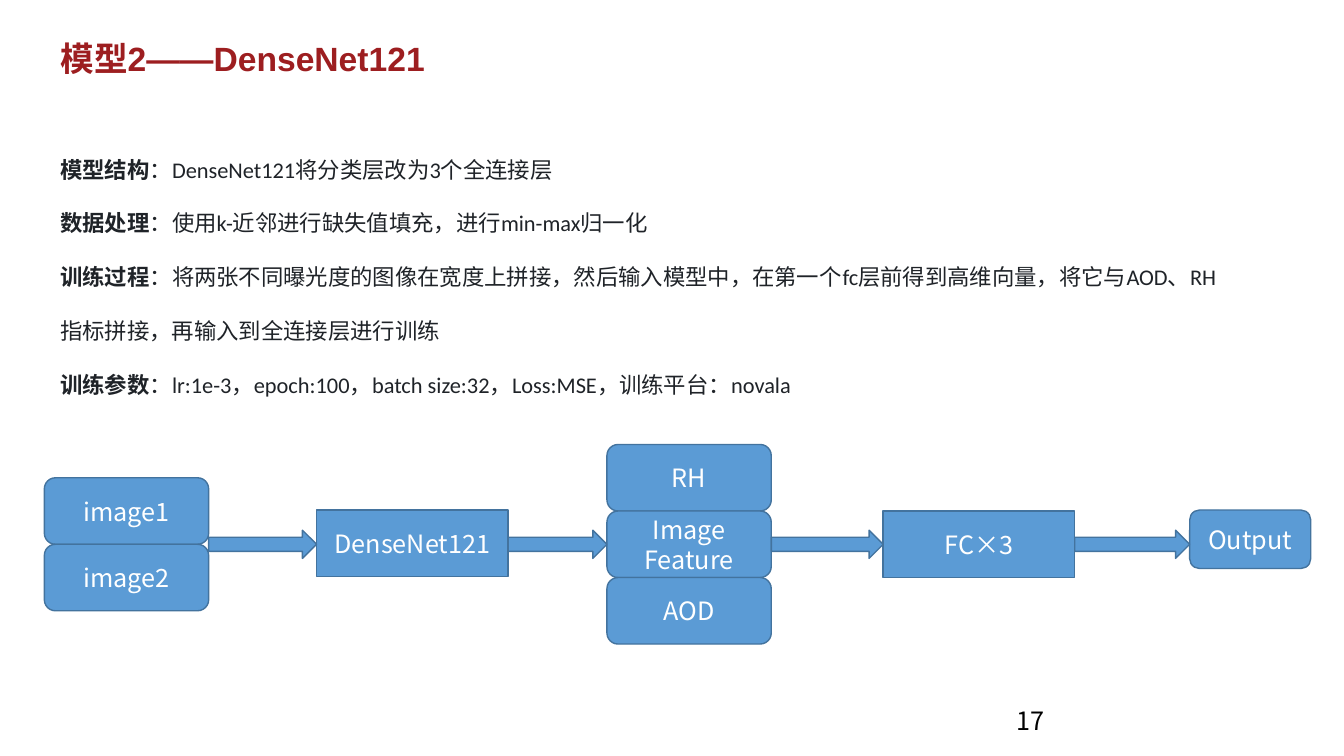
from dataclasses import dataclass

from lxml import etree
from pptx import Presentation
from pptx.dml.color import RGBColor
from pptx.enum.shapes import MSO_SHAPE
from pptx.enum.text import MSO_ANCHOR, MSO_AUTO_SIZE, PP_ALIGN
from pptx.oxml.ns import qn
from pptx.util import Inches, Pt

ROUND = MSO_SHAPE.ROUNDED_RECTANGLE
RECT = MSO_SHAPE.RECTANGLE
ARROW = MSO_SHAPE.RIGHT_ARROW
TOP, MIDDLE = MSO_ANCHOR.TOP, MSO_ANCHOR.MIDDLE
LEFT, CENTER = PP_ALIGN.LEFT, PP_ALIGN.CENTER
GROW, FIXED = MSO_AUTO_SIZE.SHAPE_TO_FIT_TEXT, MSO_AUTO_SIZE.NONE


@dataclass(frozen=True)
class Theme:
    red: str = "9D1E20"
    ink: str = "1F2328"
    black: str = "000000"
    white: str = "FFFFFF"
    blue: str = "5B9BD5"
    edge: str = "43739E"
    head: int = 24
    body: int = 16
    label: int = 18
    han: str = "Noto Sans CJK SC"


THEME = Theme()

HEAD = {"name": "Arial", "size": Pt(THEME.head), "bold": True}
TERM = {"name": "Calibri", "size": Pt(THEME.body), "bold": True}
BODY = TERM | {"bold": False}
LABEL = {"name": THEME.han, "size": Pt(THEME.label), "bold": False}

NOTES = [
    ("模型结构", "DenseNet121将分类层改为3个全连接层"),
    ("数据处理", "使用k-近邻进行缺失值填充，进行min-max归一化"),
    ("训练过程", "将两张不同曝光度的图像在宽度上拼接，然后输入模型中，在第一个fc层前"
     "得到高维向量，将它与AOD、RH指标拼接，再输入到全连接层进行训练"),
    ("训练参数", "lr:1e-3，epoch:100，batch size:32，Loss:MSE，训练平台：novala"),
]

TALL = 0.66
STACKS = [
    (ROUND, 0.44, 4.74, 1.63, TALL, ["image1", "image2"]),
    (RECT, 3.14, 5.06, 1.9, TALL, ["DenseNet121"]),
    (ROUND, 6.02, 4.41, 1.63, TALL, ["RH", "Image Feature", "AOD"]),
    (RECT, 8.76, 5.07, 1.9, TALL, ["FC×3"]),
    (ROUND, 11.8, 5.06, 1.2, 0.58, ["Output"]),
]


def place(shape, *box):
    for key, value in zip(("left", "top", "width", "height"), box):
        setattr(shape, key, Inches(value))


def set_frame(shape, anchor, size):
    frame = shape.text_frame
    frame.word_wrap = True
    frame.auto_size = size
    frame.vertical_anchor = anchor
    return frame


def add_run(para, text, style, color):
    run = para.add_run()
    run.text = text
    for key, value in style.items():
        setattr(run.font, key, value)
    run.font.color.rgb = RGBColor.from_string(color)
    latin = run.font._element.find(qn("a:latin"))
    east = etree.Element(qn("a:ea"), typeface=THEME.han)
    latin.addnext(east)


def add_title(slide, text):
    title = slide.shapes.title
    place(title, 0.5, 0.33, 6.54, 0.5)
    para = set_frame(title, TOP, GROW).paragraphs[0]
    para.alignment = LEFT
    add_run(para, text, HEAD, THEME.red)


def add_box(slide, size, *box):
    shape = slide.shapes.add_textbox(*map(Inches, box))
    return set_frame(shape, TOP, size)


def add_notes(slide):
    frame = add_box(slide, GROW, 0.5, 1.23, 11.87, 3.33)
    for index, (term, text) in enumerate(NOTES):
        para = frame.add_paragraph() if index else frame.paragraphs[0]
        para.line_spacing = 2.0
        add_run(para, term, TERM, THEME.ink)
        add_run(para, "：" + text, BODY, THEME.ink)


def add_block(slide, kind, *box):
    shape = slide.shapes.add_shape(kind, *map(Inches, box))
    shape.shadow.inherit = False
    shape.fill.solid()
    shape.fill.fore_color.rgb = RGBColor.from_string(THEME.blue)
    shape.line.color.rgb = RGBColor.from_string(THEME.edge)
    shape.line.width = Pt(1)
    return shape


def add_stack(slide, kind, left, top, width, height, names):
    for row, name in enumerate(names):
        shape = add_block(slide, kind, left, top + row * height, width, height)
        para = set_frame(shape, MIDDLE, FIXED).paragraphs[0]
        para.alignment = CENTER
        add_run(para, name, LABEL, THEME.white)


def add_flow(slide):
    for stack in STACKS:
        add_stack(slide, *stack)
    for first, second in zip(STACKS, STACKS[1:]):
        start = first[1] + first[3]
        add_block(slide, ARROW, start, 5.26, second[1] - start, 0.28)


def add_page(slide, text):
    para = add_box(slide, FIXED, 9.98, 6.95, 3, 0.4).paragraphs[0]
    add_run(para, text, LABEL, THEME.black)


def main():
    deck = Presentation()
    deck.slide_width, deck.slide_height = Inches(13.33), Inches(7.5)
    slide = deck.slides.add_slide(deck.slide_layouts[5])
    add_title(slide, "模型2——DenseNet121")
    add_notes(slide)
    add_flow(slide)
    add_page(slide, "17")
    deck.save("out.pptx")


if __name__ == "__main__":
    main()
